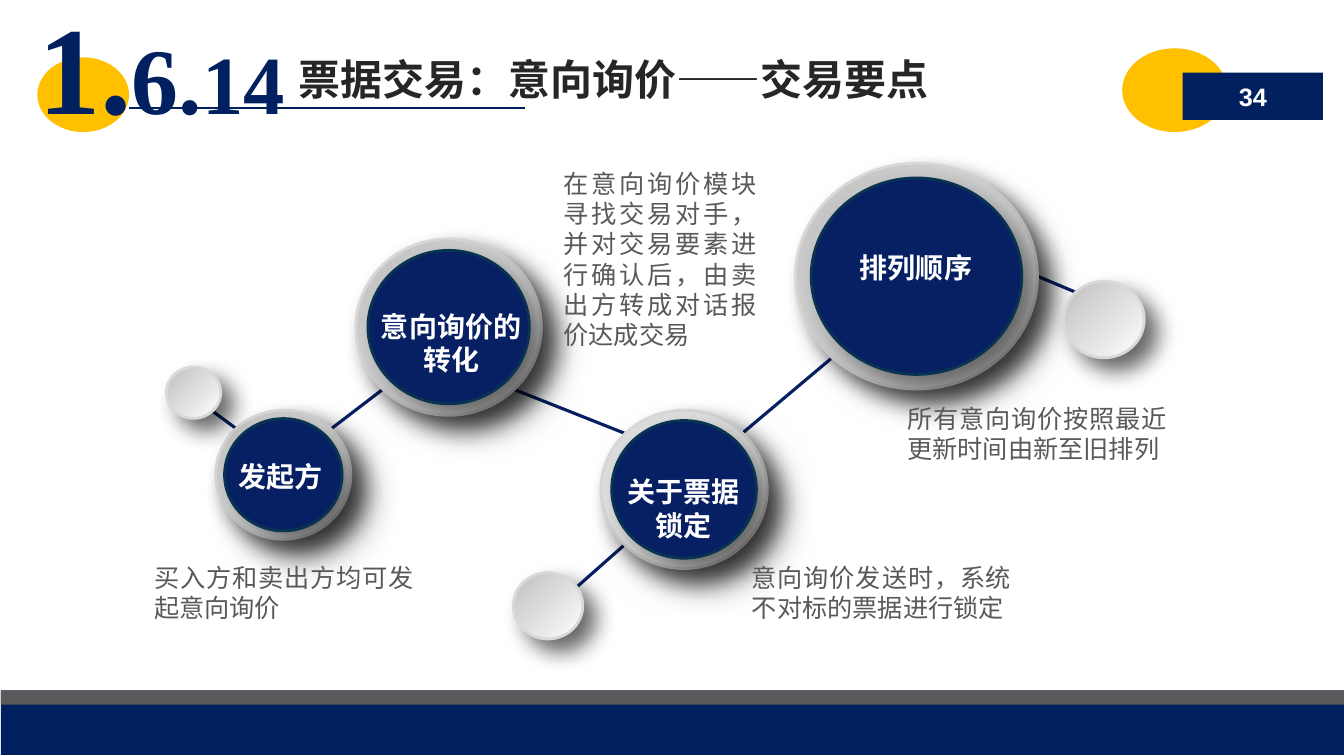
from collections import namedtuple
from lxml.etree import SubElement
from pptx import Presentation
from pptx.dml.color import RGBColor
from pptx.enum.shapes import MSO_CONNECTOR, MSO_SHAPE
from pptx.enum.text import MSO_ANCHOR, MSO_AUTO_SIZE, PP_ALIGN
from pptx.oxml.ns import qn
from pptx.util import Inches, Pt

COLORS = {
    "navy": "002060", "core": "072063", "core_edge": "083451", "gold": "FFC000",
    "gray": "595959", "ink": "262626", "white": "FFFFFF", "black": "000000",
    "silver": "BFBFBF", "pale": "D9D9D9",
}
CJK = "Noto Sans CJK SC"
CORE_SCALE = 0.87

Box = namedtuple("Box", "left top width height")
Step = namedtuple("Step", "title ring silver title_box note note_box")

# Places are relative to the diagram's top left corner; title boxes to their ring.
STEPS = [
    Step("发起方", Box(0.71, 2.45, 1.34, 1.28), "silver", Box(0, 0.44, 1.29, 0.44),
         "买入方和卖出方均可发起意向询价", Box(0, 3.91, 2.77, 0.71)),
    Step("意向询价的转化", Box(2.1, 0.75, 1.84, 1.75), "silver", Box(0.13, 0.65, 1.63, 0.77),
         "在意向询价模块寻找交易对手，并对交易要素进行确认后，由卖出方转成对话报价达成交易",
         Box(4.06, 0, 2.11, 1.92)),
    Step("关于票据锁定", Box(4.53, 2.45, 1.65, 1.57), "pale", Box(0.05, 0.59, 1.54, 0.77),
         "意向询价发送时，系统不对标的票据进行锁定", Box(5.93, 3.91, 2.77, 0.71)),
    Step("排列顺序", Box(6.46, 0, 2.4, 2.24), "silver", Box(0.15, 0.82, 2.09, 0.44),
         "所有意向询价按照最近更新时间由新至旧排列", Box(7.47, 2.33, 2.77, 0.71)),
]
BEADS = [Box(0.22, 2.02, 0.54, 0.51), Box(3.66, 4.06, 0.69, 0.66), Box(9.12, 1.17, 0.8, 0.76)]
LINKS = [
    ((0.68, 2.46), (0.91, 2.63)), ((1.86, 2.63), (2.37, 2.24)), ((3.66, 2.24), (4.77, 2.68)),
    ((4.17, 4.31), (4.77, 3.78)), ((5.93, 2.68), (6.81, 1.94)), ((8.86, 1.12), (9.24, 1.28)),
]


def rgb(name):
    return RGBColor.from_string(COLORS[name])


def within(outer, inner):
    return Box(outer.left + inner.left, outer.top + inner.top, inner.width, inner.height)


def add_shadow(shape, blur, distance):
    effects = SubElement(shape._element.spPr, qn("a:effectLst"))
    shadow = SubElement(effects, qn("a:outerShdw"), blurRad=str(Pt(blur)), dist=str(Pt(distance)),
                        dir="2700000", algn="tl", rotWithShape="0")
    color = SubElement(shadow, qn("a:srgbClr"), val=COLORS["black"])
    SubElement(color, qn("a:alpha"), val="60000")


def add_solid(slide, kind, box, fill, line=None, shadow=None):
    shape = slide.shapes.add_shape(kind, *map(Inches, box))
    shape.fill.solid()
    shape.fill.fore_color.rgb = rgb(fill)
    if line:
        shape.line.color.rgb = rgb(line)
        shape.line.width = Pt(2)
    else:
        shape.line.fill.background()
    if shadow:
        add_shadow(shape, *shadow)
    else:
        shape.shadow.inherit = False
    return shape


def add_metal_disc(slide, box, silver="silver"):
    disc = add_solid(slide, MSO_SHAPE.OVAL, box, "white", "pale", (16, 12))
    disc.fill.gradient()
    disc.fill.gradient_angle = 135
    for stop, color in zip(disc.fill.gradient_stops, ("white", silver)):
        stop.color.rgb = rgb(color)


def add_line(slide, start, end, color, width):
    line = slide.shapes.add_connector(MSO_CONNECTOR.STRAIGHT, *map(Inches, start + end))
    line.line.color.rgb = rgb(color)
    line.line.width = Pt(width)
    SubElement(line._element.spPr, qn("a:effectLst"))


def write(frame, runs, color, font=CJK, align=PP_ALIGN.LEFT, bold=True, **frame_format):
    """Fill a text frame with one paragraph of (text, size) runs."""
    for name, value in {"word_wrap": True, **frame_format}.items():
        setattr(frame, name, value)
    paragraph = frame.paragraphs[0]
    paragraph.alignment = align
    for text, size in runs:
        run = paragraph.add_run()
        run.text = text
        for name, value in {"name": font, "size": Pt(size), "bold": bold}.items():
            setattr(run.font, name, value)
        run.font.color.rgb = rgb(color)
        SubElement(run._r.get_or_add_rPr(), qn("a:ea"), typeface=font)


def add_text(slide, box, runs, color, **text_format):
    frame = slide.shapes.add_textbox(*map(Inches, box)).text_frame
    write(frame, runs, color, auto_size=MSO_AUTO_SIZE.SHAPE_TO_FIT_TEXT, **text_format)


def add_footer(slide, box):
    add_solid(slide, MSO_SHAPE.RECTANGLE, box, "navy")
    add_solid(slide, MSO_SHAPE.RECTANGLE, box._replace(height=0.14), "gray")


def add_heading(slide, box):
    margins = {"margin_left": Inches(0.12), "margin_right": Inches(0.12),
               "margin_top": Inches(0.06), "margin_bottom": Inches(0.06)}
    add_solid(slide, MSO_SHAPE.OVAL, within(box, Box(0, 0.09, 0.91, 0.74)), "gold")
    rule_top = box.top + 0.59
    add_line(slide, (box.left + 0.91, rule_top), (box.left + 4.84, rule_top), "navy", 1.5)
    add_text(slide, within(box, Box(2.49, 0, 7.43, 0.61)),
             [("票据交易：意向询价——交易要点", 30)], "ink")
    add_text(slide, within(box, Box(-0.11, -0.64, 2.74, 1.62)),
             [("1.", 89), ("6.", 67), ("14", 59)], "navy", font="Times New Roman", **margins)


def add_page_number(slide, box):
    add_solid(slide, MSO_SHAPE.OVAL, box._replace(width=1.04), "gold")
    plate = add_solid(slide, MSO_SHAPE.RECTANGLE, within(box, Box(0.6, 0.24, 1.39, 0.47)), "navy")
    write(plate.text_frame, [("34", 18)], "white", font="Arial", align=PP_ALIGN.CENTER,
          vertical_anchor=MSO_ANCHOR.MIDDLE)


def add_step(slide, box, step):
    ring = within(box, step.ring)
    width, height = ring.width * CORE_SCALE, ring.height * CORE_SCALE
    core = Box((ring.width - width) / 2, (ring.height - height) / 2, width, height)
    add_metal_disc(slide, ring, step.silver)
    add_solid(slide, MSO_SHAPE.OVAL, within(ring, core), "core", "core_edge", (30, 20))
    add_text(slide, within(ring, step.title_box), [(step.title, 20)], "white",
             align=PP_ALIGN.CENTER)
    add_text(slide, within(box, step.note_box), [(step.note, 18)], "gray",
             align=PP_ALIGN.JUSTIFY, bold=False)


def add_diagram(slide, box):
    for link in LINKS:
        start, end = [(box.left + x, box.top + y) for x, y in link]
        add_line(slide, start, end, "core", 2.25)
    for step in STEPS:
        add_step(slide, box, step)
    for bead in BEADS:
        add_metal_disc(slide, within(box, bead))


def main():
    deck = Presentation()
    deck.slide_width, deck.slide_height = Inches(13.33), Inches(7.5)
    slide = deck.slides.add_slide(deck.slide_layouts[6])
    add_footer(slide, Box(0.01, 6.85, 13.32, 0.64))
    add_heading(slide, Box(0.37, 0.48, 9.92, 0.83))
    add_page_number(slide, Box(11.13, 0.48, 1.99, 0.83))
    add_diagram(slide, Box(1.43, 1.62, 10.24, 4.72))
    deck.save("out.pptx")


if __name__ == "__main__":
    main()
